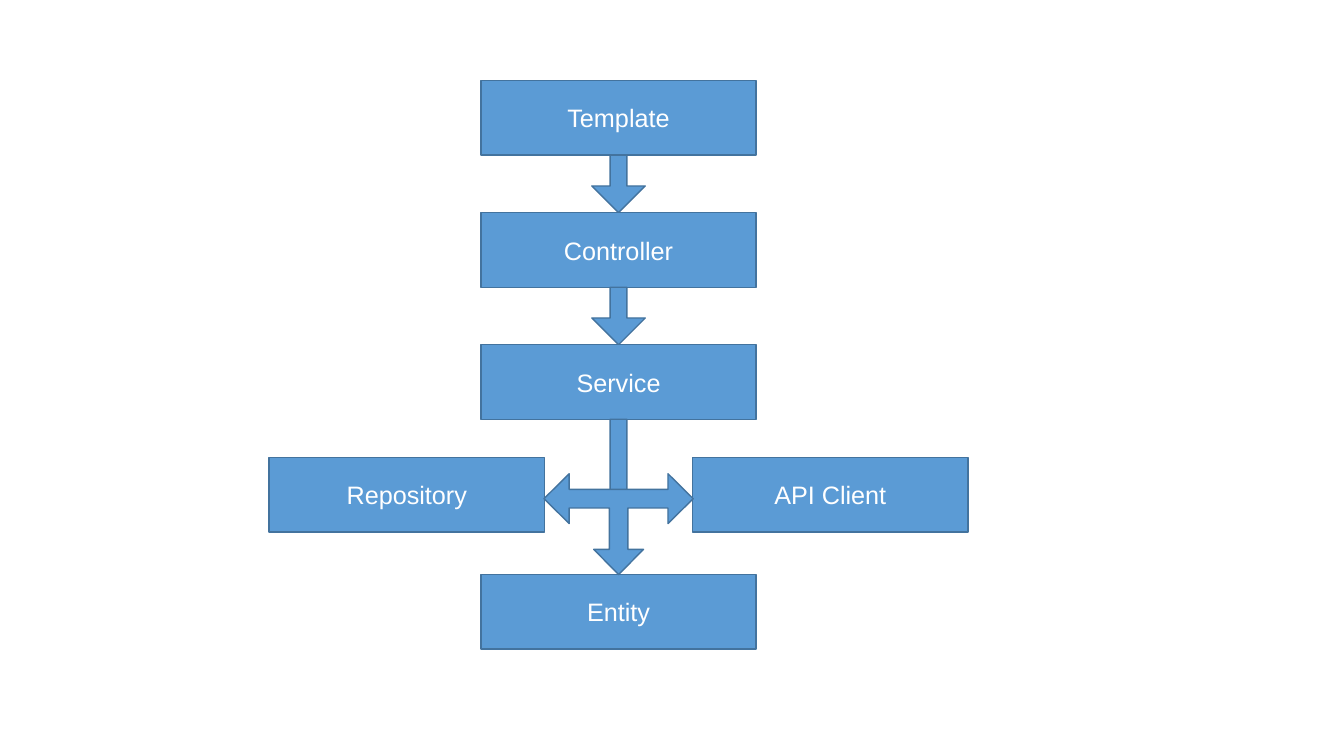
from pptx import Presentation
from pptx.dml.color import RGBColor
from pptx.enum import shapes, text
from pptx.util import Inches, Pt

FILL, OUTLINE, LABEL = "5B9BD5", "43739E", "FFFFFF"
LAYER_W, LAYER_H = 2.73, 0.74
CENTER_X = 6.135
SIDE_OFFSET = 2.1
STACK_TOP, STACK_STEP = 0.8, 1.31
SIDE_TOP, ENTITY_TOP = 4.54, 5.7
ARROW_W = 0.53
BRANCH_TOP, BRANCH_W = 4.7, 1.48


def color(hex_string):
    return RGBColor.from_string(hex_string)


def add_block(slide, preset, center_x, top, width, height, adjustments=()):
    """Add a filled, outlined shape centred horizontally on center_x."""
    block = slide.shapes.add_shape(
        preset, Inches(center_x - width / 2), Inches(top), Inches(width), Inches(height))
    block.shadow.inherit = False
    block.fill.solid()
    block.fill.fore_color.rgb = color(FILL)
    block.line.color.rgb = color(OUTLINE)
    block.line.width = Pt(1)
    for index, value in enumerate(adjustments):
        block.adjustments[index] = value
    return block


def add_layer(slide, name, center_x, top):
    layer = add_block(slide, shapes.MSO_SHAPE.RECTANGLE, center_x, top, LAYER_W, LAYER_H)
    layer.text_frame.vertical_anchor = text.MSO_ANCHOR.MIDDLE
    paragraph = layer.text_frame.paragraphs[0]
    paragraph.text = name
    paragraph.alignment = text.PP_ALIGN.CENTER
    paragraph.font.name = "Arial"
    paragraph.font.size = Pt(18)
    paragraph.font.color.rgb = color(LABEL)


def add_down_arrow(slide, top, bottom):
    add_block(slide, shapes.MSO_SHAPE.DOWN_ARROW, CENTER_X, top,
              ARROW_W, bottom - top, (0.314, 0.5))


def add_stack(slide, names):
    """Stack the layers, each with an arrow to what lies below it."""
    tops = [STACK_TOP + row * STACK_STEP for row in range(len(names))]
    arrow_ends = tops[1:] + [5.13]
    for name, top, arrow_end in zip(names, tops, arrow_ends):
        add_layer(slide, name, CENTER_X, top)
        add_down_arrow(slide, top + LAYER_H, arrow_end)


def add_branches(slide, left_name, right_name, bottom_name):
    """Place the three targets and the three-way arrow that joins them."""
    add_layer(slide, left_name, CENTER_X - SIDE_OFFSET, SIDE_TOP)
    add_layer(slide, right_name, CENTER_X + SIDE_OFFSET, SIDE_TOP)
    add_layer(slide, bottom_name, CENTER_X, ENTITY_TOP)
    branch = add_block(slide, shapes.MSO_SHAPE.LEFT_RIGHT_UP_ARROW, CENTER_X, BRANCH_TOP,
                       BRANCH_W, ENTITY_TOP - BRANCH_TOP, (0.184, 0.247, 0.25))
    branch.rotation = 180


def main():
    deck = Presentation()
    deck.slide_width, deck.slide_height = Inches(13.33), Inches(7.5)
    slide = deck.slides.add_slide(deck.slide_layouts[6])
    add_stack(slide, ["Template", "Controller", "Service"])
    add_branches(slide, "Repository", "API Client", "Entity")
    deck.save("out.pptx")


if __name__ == "__main__":
    main()
